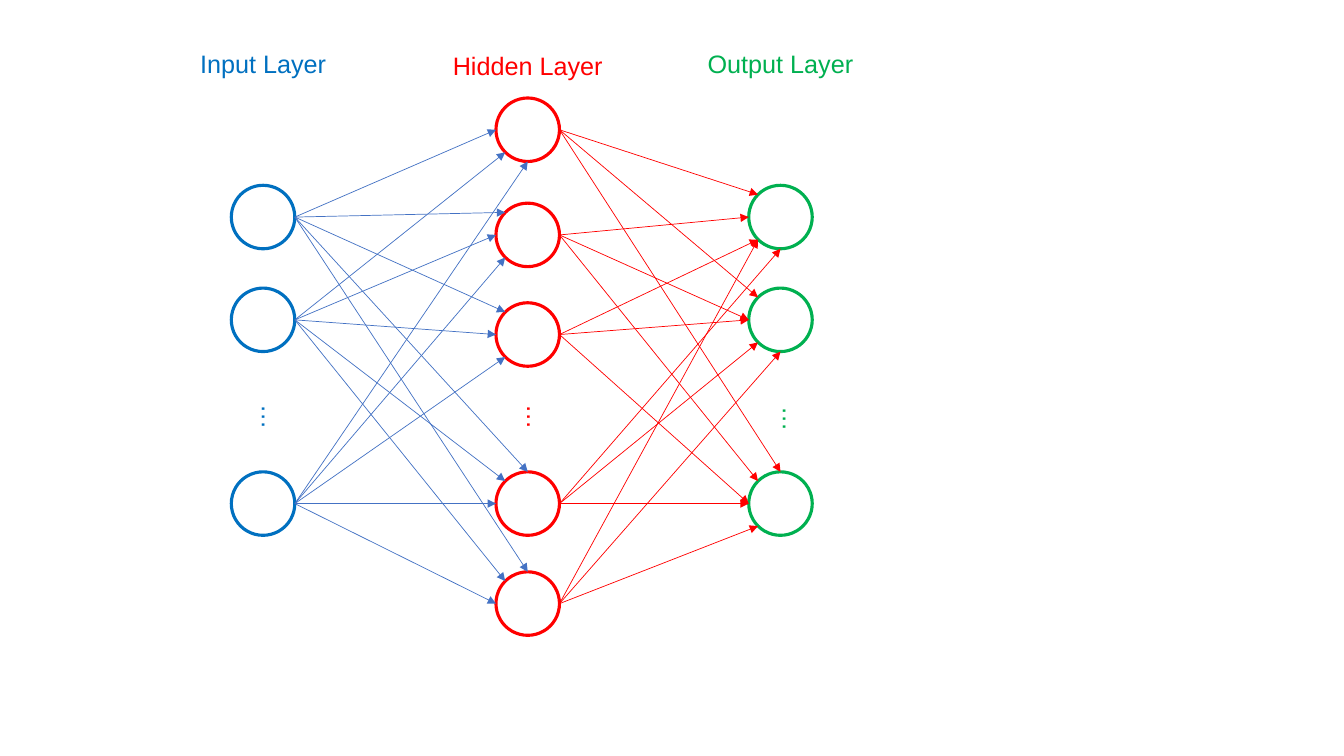
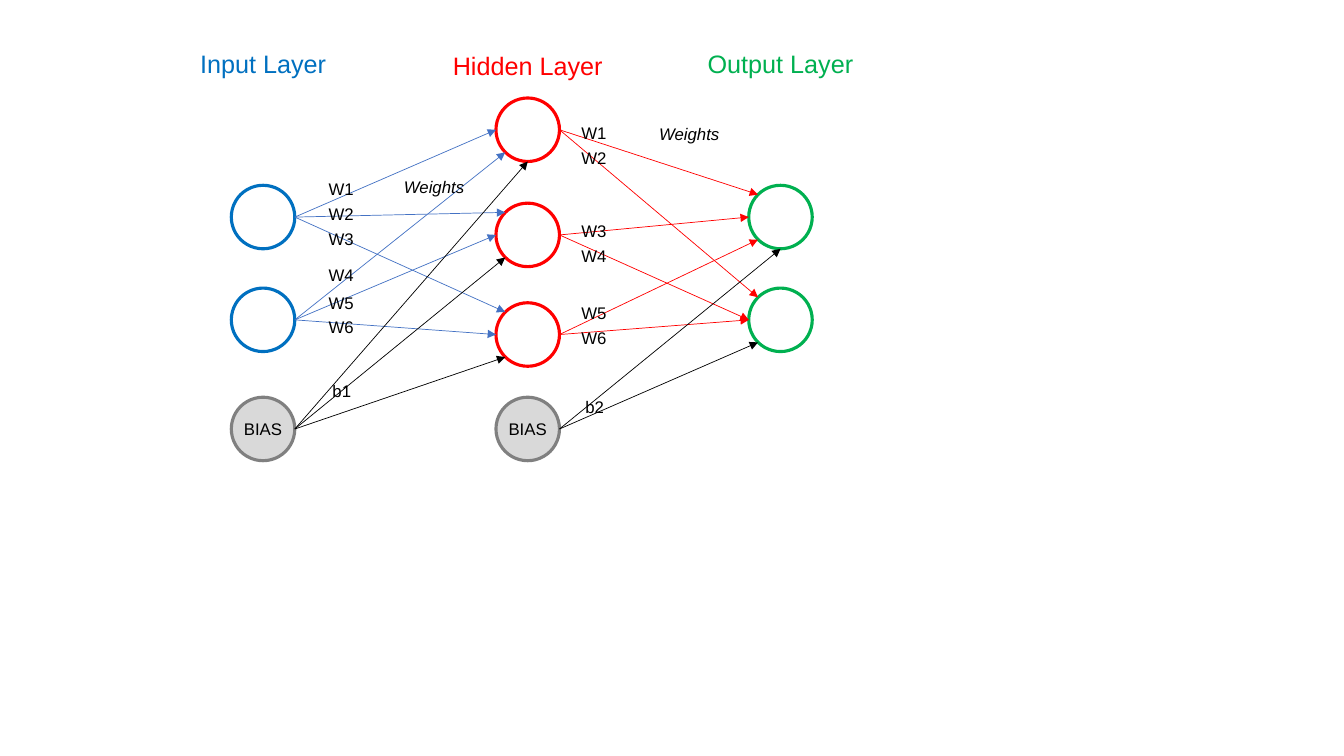
import lxml.etree
import pptx
import pptx.dml.color
import pptx.enum.shapes
import pptx.enum.text
import pptx.oxml.ns
import pptx.util

Cm = pptx.util.Cm
Pt = pptx.util.Pt
RGBColor = pptx.dml.color.RGBColor
ALIGN = pptx.enum.text.PP_ALIGN

BLUE = RGBColor(0x00, 0x70, 0xC0)
RED = RGBColor(0xFF, 0x00, 0x00)
GREEN = RGBColor(0x00, 0xB0, 0x50)
STEEL = RGBColor(0x44, 0x72, 0xC4)
BLACK = RGBColor(0x00, 0x00, 0x00)
GREY = RGBColor(0x80, 0x80, 0x80)
PALE = RGBColor(0xD9, 0xD9, 0xD9)

SIZE = 1.6
HALF = SIZE / 2
DIAG = HALF * 0.71
SITES = {
    "T": (0, -HALF), "TL": (-DIAG, -DIAG), "L": (-HALF, 0),
    "BL": (-DIAG, DIAG), "B": (0, HALF),
}

IN_X, MID_X, OUT_X = 6.63, 13.3, 19.67
IN_Y = [5.47, 8.06, 12.69]
MID_Y = [3.27, 5.92, 8.43, 12.69, 15.21]
BIAS_Y = 10.81
HEADS = [
    ("Input Layer", IN_X, 1.09, 3.71, BLUE),
    ("Hidden Layer", MID_X, 1.14, 4.32, RED),
    ("Output Layer", OUT_X, 1.09, 4.22, GREEN),
]
DOTS = [(6.85, 10.52, BLUE), (13.53, 10.52, RED), (19.98, 10.57, GREEN)]

IN_ENDS = ["L TL TL T T", "BL L L TL TL", "B BL BL L L"]
MID_ENDS = ["TL TL T", "L L TL", "BL L L", "B BL L", "BL B BL"]


class Deck:
    font = "Arial"
    head = 18
    small = 12

    def __init__(self):
        self.file = pptx.Presentation()
        self.file.slide_width = Cm(33.87)
        self.file.slide_height = Cm(19.05)
        self.page = None

    def start(self):
        self.page = self.file.slides.add_slide(self.file.slide_layouts[6])
        for text, x, top, width, color in HEADS:
            self.label(text, x - width / 2, top, width, 1.02, self.head, color, ALIGN.CENTER)

    def put(self, frame, text, size, color, align, italic=False):
        para = frame.paragraphs[0]
        para.alignment = align
        run = para.add_run()
        run.text = text
        run.font.name = self.font
        run.font.size = Pt(size)
        run.font.italic = italic
        run.font.color.rgb = color

    def label(self, text, left, top, width=1.14, height=0.77, size=small,
              color=BLACK, align=ALIGN.LEFT, italic=False, turn=0):
        box = self.page.shapes.add_textbox(Cm(left), Cm(top), Cm(width), Cm(height))
        box.rotation = turn
        box.text_frame.word_wrap = False
        box.text_frame.auto_size = pptx.enum.text.MSO_AUTO_SIZE.SHAPE_TO_FIT_TEXT
        self.put(box.text_frame, text, size, color, align, italic)

    def node(self, x, y, color, fill=None, text=None):
        ring = self.page.shapes.add_shape(
            pptx.enum.shapes.MSO_SHAPE.OVAL,
            Cm(x - HALF), Cm(y - HALF), Cm(SIZE), Cm(SIZE))
        ring.shadow.inherit = False
        ring.line.color.rgb = color
        ring.line.width = Pt(2.25)
        if fill is None:
            ring.fill.background()
        else:
            ring.fill.solid()
            ring.fill.fore_color.rgb = fill
        if text:
            frame = ring.text_frame
            frame.word_wrap = False
            frame.margin_left = frame.margin_right = 0
            self.put(frame, text, self.small, BLACK, ALIGN.CENTER)
        return x, y, color

    def layer(self, x, rows, color):
        return [self.node(x, y, color) for y in rows]

    def bias(self, x):
        return self.node(x, BIAS_Y, GREY, PALE, "BIAS")

    def arrow(self, start, end, color):
        line = self.page.shapes.add_connector(
            pptx.enum.shapes.MSO_CONNECTOR.STRAIGHT,
            *[Cm(n) for n in (*start, *end)])
        line.line.color.rgb = color
        line.line.width = Pt(0.5)
        qn = pptx.oxml.ns.qn
        props = line._element.spPr
        lxml.etree.SubElement(props.find(qn("a:ln")), qn("a:tailEnd"), type="triangle")
        lxml.etree.SubElement(props, qn("a:effectLst"))

    def link(self, left, right, ends, color):
        for (x, y, tint), row in zip(left, ends):
            for (to_x, to_y, _), site in zip(right, row.split()):
                dx, dy = SITES[site]
                self.arrow((x + HALF, y), (to_x + dx, to_y + dy),
                           BLACK if tint == GREY else color)

    def net(self, left, mid, out, extra=()):
        self.link(left, mid, IN_ENDS, STEEL)
        self.link(mid + list(extra), out, MID_ENDS, RED)

    def weights(self, left, rows):
        for num, top in enumerate(rows, 1):
            self.label(f"W{num}", left, top)


def full(deck):
    deck.start()
    deck.net(deck.layer(IN_X, IN_Y, BLUE),
             deck.layer(MID_X, MID_Y, RED),
             deck.layer(OUT_X, IN_Y, GREEN))
    for x, y, color in DOTS:
        deck.label("…", x - 0.57, y - 0.51, 1.14, 1.02, deck.head, color,
                   ALIGN.CENTER, turn=90)


def biased(deck):
    deck.start()
    left = deck.layer(IN_X, IN_Y[:2], BLUE) + [deck.bias(IN_X)]
    mid = deck.layer(MID_X, MID_Y[:3], RED)
    out = deck.layer(OUT_X, IN_Y[:2], GREEN)
    deck.net(left, mid, out, [deck.bias(MID_X)])
    deck.weights(8.03, [4.39, 5.02, 5.64, 6.55, 7.24, 7.86])
    deck.weights(14.4, [top + gap for top in (2.98, 5.44, 7.51) for gap in (0, 0.63)])
    for text, x, top in [("b1", 8.13, 9.47), ("b2", 14.5, 9.86)]:
        deck.label(text, x, top, 0.99)
    for x, top in [(9.93, 4.34), (16.36, 3)]:
        deck.label("Weights", x, top, 2.03, italic=True)


def main():
    deck = Deck()
    full(deck)
    biased(deck)
    deck.file.save("out.pptx")


if __name__ == "__main__":
    main()
